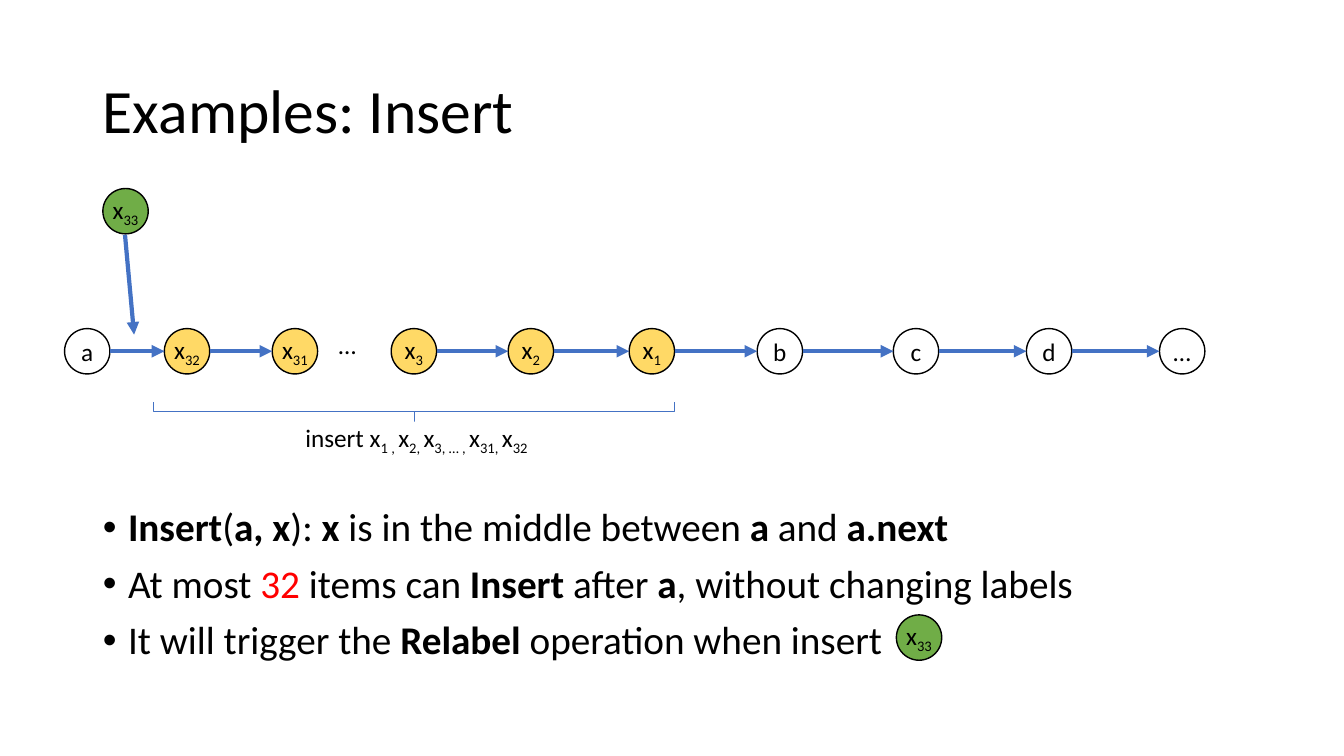
from dataclasses import dataclass

from lxml.etree import SubElement
from pptx import Presentation
from pptx.dml.color import RGBColor
from pptx.enum.shapes import MSO_CONNECTOR as Connector, MSO_SHAPE as Shape
from pptx.enum.text import MSO_ANCHOR as Anchor, MSO_AUTO_SIZE as AutoSize, PP_ALIGN as Align
from pptx.oxml.ns import qn
from pptx.util import Inches, Pt


@dataclass(frozen=True)
class Theme:
    font: str = "Calibri"
    text: str = "000000"
    highlight: str = "FF0000"
    arrow: str = "4472C4"
    plain: str = "FFFFFF"
    inserted: str = "FFD966"
    pending: str = "70AD47"
    title_size: int = 44
    body_size: int = 28
    label_size: int = 18


DIAMETER = 0.45
RADIUS = DIAMETER / 2


def color(value):
    return RGBColor.from_string(value)


class SlideBuilder:
    def __init__(self, slide, theme):
        self.slide = slide
        self.theme = theme

    def place(self, shape, left, top, width, height):
        shape.left, shape.top = Inches(left), Inches(top)
        shape.width, shape.height = Inches(width), Inches(height)

    def add_runs(self, paragraph, runs, size):
        for text, style in runs:
            run = paragraph.add_run()
            run.text = text
            font = run.font
            font.name = self.theme.font
            font.size = Pt(size)
            font.bold = style == "bold"
            font.color.rgb = color(self.theme.highlight if style == "red" else self.theme.text)
            if style == "sub":
                font._element.set("baseline", "-25000")

    def title(self, text, *box):
        shape = self.slide.shapes.title
        self.place(shape, *box)
        frame = shape.text_frame
        frame.vertical_anchor = Anchor.MIDDLE
        paragraph = frame.paragraphs[0]
        paragraph.alignment = Align.LEFT
        paragraph.line_spacing = 0.9
        self.add_runs(paragraph, [(text, "")], self.theme.title_size)

    def bullets(self, items, *box):
        shape = self.slide.placeholders[1]
        self.place(shape, *box)
        frame = shape.text_frame
        frame.auto_size = AutoSize.NONE
        for index, runs in enumerate(items):
            paragraph = frame.add_paragraph() if index else frame.paragraphs[0]
            properties = paragraph._p.get_or_add_pPr()
            properties.set("marL", str(Inches(0.25)))
            properties.set("indent", str(Inches(-0.25)))
            SubElement(properties, qn("a:buFont")).set("typeface", "Arial")
            SubElement(properties, qn("a:buChar")).set("char", "•")
            paragraph.line_spacing = 0.9
            paragraph.space_before = Pt(10 if index else 0)
            self.add_runs(paragraph, runs, self.theme.body_size)

    def node(self, left, top, fill, runs):
        shape = self.slide.shapes.add_shape(
            Shape.OVAL, Inches(left), Inches(top), Inches(DIAMETER), Inches(DIAMETER))
        shape.shadow.inherit = False
        shape.fill.solid()
        shape.fill.fore_color.rgb = color(fill)
        shape.line.color.rgb = color(self.theme.text)
        shape.line.width = Pt(1)
        frame = shape.text_frame
        frame.margin_left = frame.margin_right = frame.margin_top = frame.margin_bottom = 0
        frame.vertical_anchor = Anchor.MIDDLE
        frame.paragraphs[0].alignment = Align.CENTER
        self.add_runs(frame.paragraphs[0], runs, self.theme.label_size)

    def arrow(self, *ends):
        connector = self.slide.shapes.add_connector(
            Connector.STRAIGHT, *(Inches(value) for value in ends))
        connector.line.color.rgb = color(self.theme.arrow)
        connector.line.width = Pt(3)
        SubElement(connector.line._get_or_add_ln(), qn("a:tailEnd")).set("type", "triangle")
        SubElement(connector._element.spPr, qn("a:effectLst"))

    def label(self, runs, *box):
        shape = self.slide.shapes.add_textbox(*(Inches(value) for value in box))
        frame = shape.text_frame
        frame.word_wrap = True
        frame.auto_size = AutoSize.SHAPE_TO_FIT_TEXT
        self.add_runs(frame.paragraphs[0], runs, self.theme.label_size)

    def brace(self, *box):
        shape = self.slide.shapes.add_shape(Shape.LEFT_BRACE, *(Inches(value) for value in box))
        shape.shadow.inherit = False
        shape.rotation = 270
        shape.adjustments[0] = 0
        shape.adjustments[1] = 0.5
        shape.fill.background()
        shape.line.color.rgb = color(self.theme.arrow)
        shape.line.width = Pt(0.5)


def indexed(number):
    return [("x", ""), (number, "sub")]


def main():
    presentation = Presentation()
    presentation.slide_width, presentation.slide_height = Inches(13.33), Inches(7.5)
    slide = presentation.slides.add_slide(presentation.slide_layouts[1])
    theme = Theme()
    builder = SlideBuilder(slide, theme)

    builder.title("Examples: Insert", 0.92, 0.4, 11.5, 1.45)
    builder.bullets([
        [("Insert", "bold"), ("(", ""), ("a, x", "bold"), ("): ", ""), ("x", "bold"),
         (" is in the middle between ", ""), ("a ", "bold"), ("and ", ""), ("a.next", "bold")],
        [("At most ", ""), ("32", "red"), (" items can ", ""), ("Insert", "bold"),
         (" after ", ""), ("a", "bold"), (", without changing labels", "")],
        [("It will trigger the ", ""), ("Relabel", "bold"), (" operation when insert", "")],
    ], 0.92, 4.99, 11.5, 1.77)

    before_gap = [
        (0.64, theme.plain, [("a", "")]),
        (1.63, theme.inserted, indexed("32")),
        (2.7, theme.inserted, indexed("31")),
    ]
    after_gap = [
        (3.88, theme.inserted, indexed("3")),
        (5.04, theme.inserted, indexed("2")),
        (6.24, theme.inserted, indexed("1")),
        (7.51, theme.plain, [("b", "")]),
        (8.86, theme.plain, [("c", "")]),
        (10.18, theme.plain, [("d", "")]),
        (11.5, theme.plain, [("…", "")]),
    ]
    list_top = 3.26
    list_middle = list_top + RADIUS
    for chain in (before_gap, after_gap):
        for left, fill, runs in chain:
            builder.node(left, list_top, fill, runs)
        for (start, *_), (end, *_) in zip(chain, chain[1:]):
            builder.arrow(start + DIAMETER, list_middle, end, list_middle)
    builder.label([("…", "")], 3.26, 3.22, 0.36, 0.4)

    builder.brace(4.01, 1.5, 0.19, 5.17)
    builder.label([
        ("insert x", ""), ("1 , ", "sub"), ("x", ""), ("2, ", "sub"), ("x", ""),
        ("3, … , ", "sub"), ("x", ""), ("31, ", "sub"), ("x", ""), ("32", "sub"),
    ], 2.93, 4.14, 2.68, 0.4)

    for left, top in ((1.02, 1.87), (8.89, 6.1)):
        builder.node(left, top, theme.pending, indexed("33"))
    builder.arrow(1.24, 2.33, 1.33, 3.32)

    presentation.save("out.pptx")


if __name__ == "__main__":
    main()
